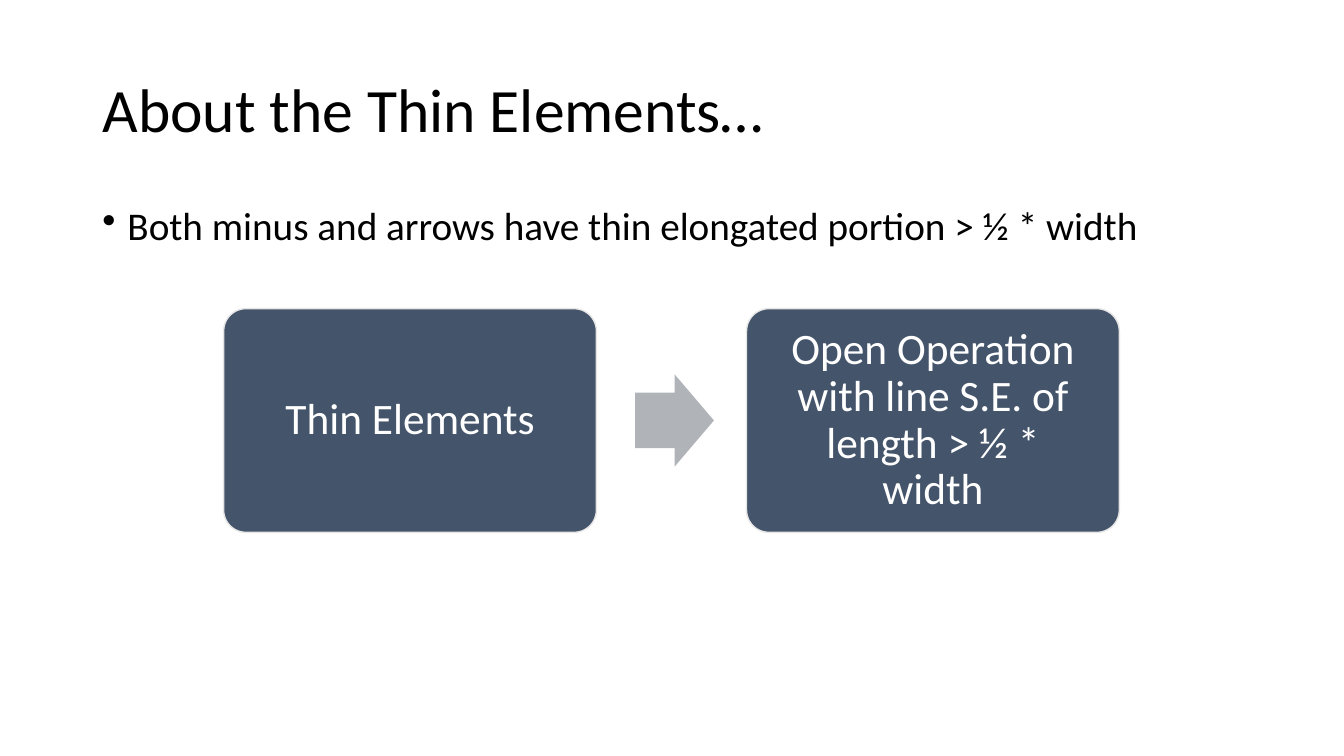
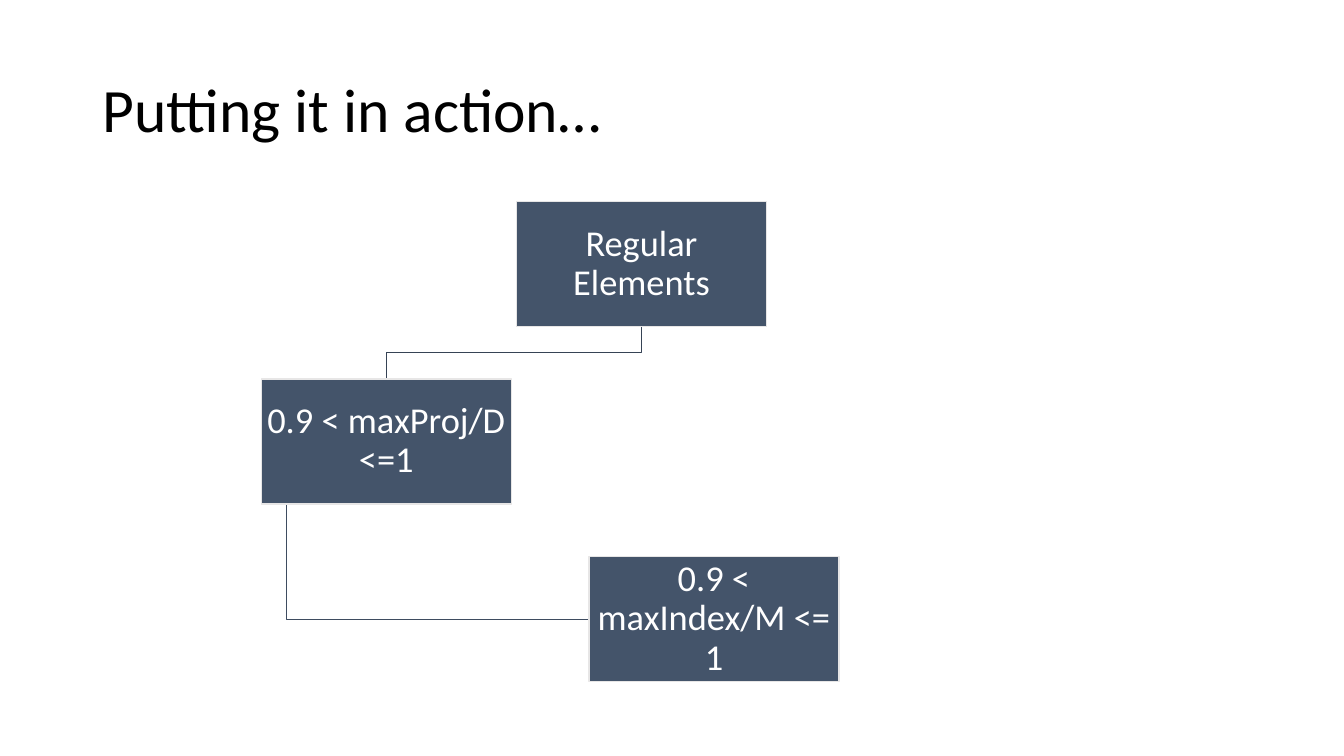
"""Build two slides on classifying thin and regular elements."""
from lxml import etree
from pptx import Presentation
from pptx import util as u
from pptx.dml.color import RGBColor
from pptx.enum import shapes, text
from pptx.oxml.ns import qn

COLORS = {"ink": "000000", "paper": "FFFFFF", "box": "44546A", "edge": "E7E6E6",
          "arrow": "B0B4B9", "branch": "364355", "twig": "3E4C60"}
FONT = "Calibri"
PX = 9525
SLIDE_SIZE = (1280, 720)
TITLE_AREA = (88, 38, 1104, 139)
BODY_AREA = (88, 192, 1104, 457)

THIN_TITLE = "About the Thin Elements…"
THIN_BULLET = "Both minus and arrows have thin elongated portion > ½ * width"
THIN_STEPS = ["Thin Elements", "Open Operation with line S.E. of length > ½ * width"]
STEP = {"left": 213, "top": 294, "width": 355, "height": 213, "gap": 143}
ARROW = {"offset": 37, "width": 75, "height": 88}

ACTION_TITLE = "Putting it in action…"
TREE_NODES = [("Regular Elements", 492), ("0.9 < maxProj/D <=1", 249),
              ("0.9 < maxIndex/M <= 1", 561)]
NODE = {"top": 192, "width": 238, "height": 119, "gap": 50}

BODY_STYLE = {"size": 28, "color": "ink", "align": text.PP_ALIGN.LEFT}
TITLE_STYLE = {**BODY_STYLE, "size": 44}
STEP_STYLE = {"size": 31, "color": "paper", "align": text.PP_ALIGN.CENTER}
NODE_STYLE = {**STEP_STYLE, "size": 26}
BULLET_INDENT = 24


def px(*values):
    return [round(value * PX) for value in values]


def color(name):
    return RGBColor.from_string(COLORS[name])


def set_all(target, **values):
    for name, value in values.items():
        setattr(target, name, value)


def write(shape, words, style, anchor=text.MSO_ANCHOR.MIDDLE, inset=None, bullet=None):
    frame = shape.text_frame
    set_all(frame, text=words, word_wrap=True, auto_size=text.MSO_AUTO_SIZE.NONE,
            vertical_anchor=anchor)
    if inset is not None:
        for side in ("left", "top", "right", "bottom"):
            setattr(frame, f"margin_{side}", inset * PX)
    paragraph = frame.paragraphs[0]
    set_all(paragraph, alignment=style["align"], line_spacing=0.9)
    if bullet:
        properties = paragraph._p.get_or_add_pPr()
        properties.set("marL", str(BULLET_INDENT * PX))
        properties.set("indent", str(-BULLET_INDENT * PX))
        etree.SubElement(properties, qn("a:buChar")).set("char", bullet)
    font = paragraph.runs[0].font
    set_all(font, name=FONT, size=u.Pt(style["size"]))
    font.color.rgb = color(style["color"])


def add_titled_slide(presentation, title):
    slide = presentation.slides.add_slide(presentation.slide_layouts[5])
    holder = slide.shapes.title
    set_all(holder, **dict(zip(("left", "top", "width", "height"), px(*TITLE_AREA))))
    write(holder, title, TITLE_STYLE)
    return slide


def paint(shape, fill=None, line=None):
    shape.shadow.inherit = False
    if fill:
        shape.fill.solid()
        shape.fill.fore_color.rgb = color(fill)
    else:
        shape.fill.background()
    if line:
        shape.line.color.rgb = color(line)
        shape.line.width = u.Pt(1)
    else:
        shape.line.fill.background()


def add_shape(slide, kind, area, fill, line=None, adjustments=()):
    shape = slide.shapes.add_shape(kind, *px(*area))
    for index, value in enumerate(adjustments):
        shape.adjustments[index] = value
    paint(shape, fill, line)
    return shape


def add_path(slide, points, line):
    start, *rest = points
    builder = slide.shapes.build_freeform(*start, scale=PX)
    builder.add_line_segments(rest, close=False)
    paint(builder.convert_to_shape(), line=line)


def build_thin_slide(presentation):
    slide = add_titled_slide(presentation, THIN_TITLE)
    body = slide.shapes.add_textbox(*px(*BODY_AREA))
    write(body, THIN_BULLET, BODY_STYLE, text.MSO_ANCHOR.TOP, bullet="•")
    kinds = shapes.MSO_SHAPE
    for index, words in enumerate(THIN_STEPS):
        left = STEP["left"] + index * (STEP["width"] + STEP["gap"])
        if index:
            arrow_left = left - STEP["gap"] + ARROW["offset"]
            arrow_top = STEP["top"] + (STEP["height"] - ARROW["height"]) / 2
            add_shape(slide, kinds.RIGHT_ARROW,
                      (arrow_left, arrow_top, ARROW["width"], ARROW["height"]),
                      "arrow", adjustments=(0.6, 0.5))
        area = (left, STEP["top"], STEP["width"], STEP["height"])
        card = add_shape(slide, kinds.ROUNDED_RECTANGLE, area, "box", "edge", (0.1,))
        write(card, words, STEP_STYLE, inset=19)


def build_action_slide(presentation):
    slide = add_titled_slide(presentation, ACTION_TITLE)
    width, height, gap = NODE["width"], NODE["height"], NODE["gap"]
    tops = [NODE["top"] + row * (height + gap) for row in range(len(TREE_NODES))]
    root, child, leaf = [(left, top) for (_, left), top in zip(TREE_NODES, tops)]

    stem = child[0] + width / 10
    leaf_middle = leaf[1] + height / 2
    add_path(slide, [(stem, child[1] + height), (stem, leaf_middle),
                     (leaf[0], leaf_middle)], "twig")
    root_center, child_center = root[0] + width / 2, child[0] + width / 2
    bend = child[1] - gap / 2
    add_path(slide, [(root_center, root[1] + height), (root_center, bend),
                     (child_center, bend), (child_center, child[1])], "branch")

    for (words, left), top in zip(TREE_NODES, tops):
        node = add_shape(slide, shapes.MSO_SHAPE.RECTANGLE,
                         (left, top, width, height), "box", "edge")
        write(node, words, NODE_STYLE, inset=2)


def main():
    presentation = Presentation()
    presentation.slide_width, presentation.slide_height = px(*SLIDE_SIZE)
    build_thin_slide(presentation)
    build_action_slide(presentation)
    presentation.save("out.pptx")


if __name__ == "__main__":
    main()
